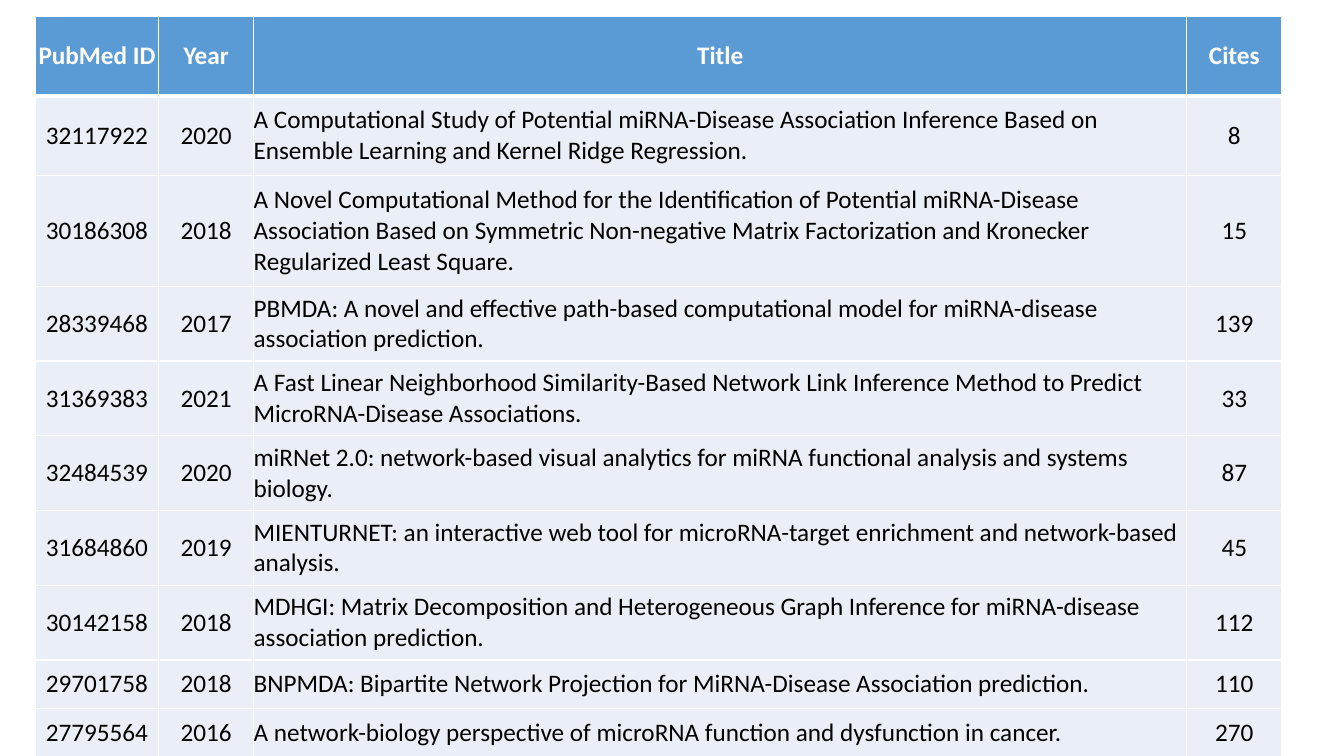
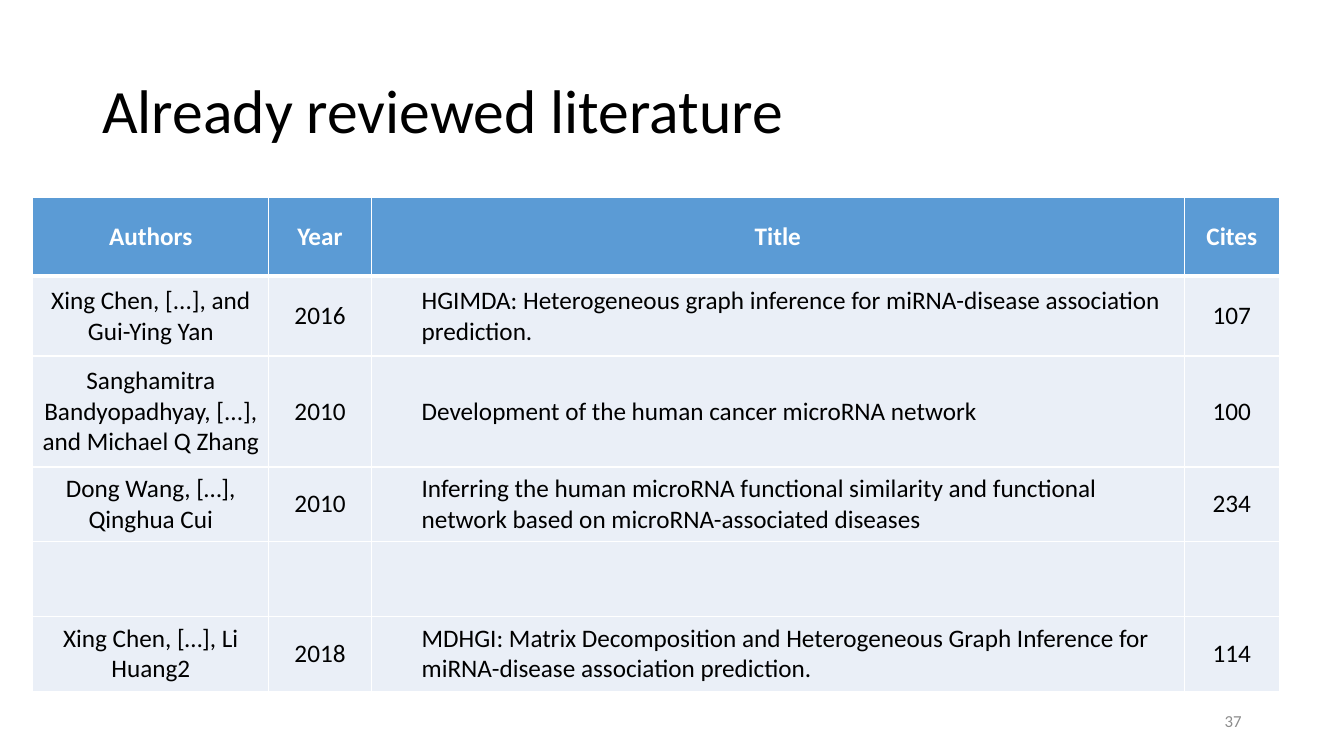
"""Builds two slides of reviewed literature tables."""
from dataclasses import dataclass

from lxml import etree
from pptx import Presentation
from pptx import util as u
from pptx.dml.color import RGBColor
from pptx.enum import text
from pptx.oxml import ns

GRID_COLUMNS, GRID_ROWS = 160, 90
UNIT = u.Inches(1 / 12)


@dataclass(frozen=True)
class Theme:
    """Colours, type sizes and line widths shared by the slides."""
    font: str = "Calibri"
    ink: str = "000000"
    white: str = "FFFFFF"
    header: str = "5B9BD5"
    body: str = "EAEFF7"
    muted: str = "8C8C8C"
    title_size: int = 44
    table_size: int = 18
    number_size: int = 12
    thin: int = 1
    thick: int = 3


class Deck:
    """Holds the theme and the current slide, and draws its elements."""

    def __init__(self, theme):
        """Start an empty presentation of the grid's size."""
        self.theme = theme
        self.presentation = Presentation()
        self.presentation.slide_width = self.length(GRID_COLUMNS)
        self.presentation.slide_height = self.length(GRID_ROWS)
        self.slide = None

    def length(self, units):
        """Turn grid units into a slide length."""
        return u.Emu(round(units * UNIT))

    def add_slide(self):
        """Add a blank slide and make it current."""
        self.slide = self.presentation.slides.add_slide(self.presentation.slide_layouts[6])

    def set_text(self, frame, words, size, color, bold=False, **layout):
        """Put one styled paragraph into a text frame."""
        paragraph = frame.paragraphs[0]
        paragraph.text = words
        for name, value in layout.items():
            setattr(paragraph, name, value)
        values = {"name": self.theme.font, "size": u.Pt(size), "bold": bold}
        for name, value in values.items():
            setattr(paragraph.runs[0].font, name, value)
        paragraph.runs[0].font.color.rgb = RGBColor.from_string(color)
        return paragraph

    def text_box(self, box, words, size, color, **layout):
        """Add a wrapped text box, centred vertically."""
        shape = self.slide.shapes.add_textbox(*map(self.length, box))
        frame = shape.text_frame
        frame.word_wrap = True
        frame.vertical_anchor = text.MSO_ANCHOR.MIDDLE
        self.set_text(frame, words, size, color, **layout)

    def title(self, words):
        """Add the slide title."""
        self.text_box((11, 4.8, 138, 17.4), words, self.theme.title_size,
                      self.theme.ink, line_spacing=0.9)

    def page_number(self, number):
        """Add the page number at the lower right."""
        self.text_box((113, 83.4, 36, 4.8), str(number), self.theme.number_size,
                      self.theme.muted, alignment=text.PP_ALIGN.RIGHT)

    def borders(self, cell, row):
        """Rule a cell in white, with a thick line under the header."""
        thin, thick = self.theme.thin, self.theme.thick
        widths = {"lnL": thin, "lnR": thin,
                  "lnT": thick if row == 1 else thin,
                  "lnB": thick if row == 0 else thin}
        properties = cell._tc.get_or_add_tcPr()
        for tag, width in widths.items():
            line = etree.SubElement(properties, ns.qn(f"a:{tag}"), w=str(u.Pt(width)))
            fill = etree.SubElement(line, ns.qn("a:solidFill"))
            etree.SubElement(fill, ns.qn("a:srgbClr"), val=self.theme.white)

    def cell(self, cell, words, row, is_title, indent):
        """Fill and rule one table cell and set its text."""
        header = row == 0
        self.borders(cell, row)
        cell.fill.solid()
        cell.fill.fore_color.rgb = RGBColor.from_string(
            self.theme.header if header else self.theme.body)
        values = {"margin_left": 0, "margin_right": 0, "margin_top": 0,
                  "margin_bottom": 0, "vertical_anchor": text.MSO_ANCHOR.MIDDLE}
        for name, value in values.items():
            setattr(cell, name, value)
        if not words:
            return
        left = is_title and not header
        paragraph = self.set_text(
            cell.text_frame, words, self.theme.table_size,
            self.theme.white if header else self.theme.ink, bold=header,
            alignment=text.PP_ALIGN.LEFT if left else text.PP_ALIGN.CENTER)
        if left and indent:
            paragraph.level = 1
            paragraph._p.get_or_add_pPr().set("marL", str(self.length(indent)))

    def table(self, left, top, widths, heights, records, indent=0):
        """Add a literature table, its first record being the header."""
        frame = self.slide.shapes.add_table(
            len(records), len(widths),
            *map(self.length, (left, top, sum(widths), sum(heights))))
        table = frame.table
        table.horz_banding = False
        for column, width in zip(table.columns, widths):
            column.width = self.length(width)
        for row, height in zip(table.rows, heights):
            row.height = self.length(height)
        title_column = records[0].index("Title")
        for row, record in enumerate(records):
            for column, words in enumerate(record):
                self.cell(table.cell(row, column), words, row,
                          column == title_column, indent)


HEADER, FIRST, ONE_LINE, TWO_LINES, THREE_LINES = 9.4, 9.5, 5.8, 8.9, 13.2

MDHGI = ("MDHGI: Matrix Decomposition and Heterogeneous Graph Inference "
         "for miRNA-disease association prediction.")

PUBMED_RECORDS = [
    ("PubMed ID", "Year", "Title", "Cites"),
    ("32117922", "2020", "A Computational Study of Potential miRNA-Disease Association "
     "Inference Based on Ensemble Learning and Kernel Ridge Regression.", "8"),
    ("30186308", "2018", "A Novel Computational Method for the Identification of Potential "
     "miRNA-Disease Association Based on Symmetric Non-negative Matrix Factorization and "
     "Kronecker Regularized Least Square.", "15"),
    ("28339468", "2017", "PBMDA: A novel and effective path-based computational model for "
     "miRNA-disease association prediction.", "139"),
    ("31369383", "2021", "A Fast Linear Neighborhood Similarity-Based Network Link Inference "
     "Method to Predict MicroRNA-Disease Associations.", "33"),
    ("32484539", "2020", "miRNet 2.0: network-based visual analytics for miRNA functional "
     "analysis and systems biology.", "87"),
    ("31684860", "2019", "MIENTURNET: an interactive web tool for microRNA-target enrichment "
     "and network-based analysis.", "45"),
    ("30142158", "2018", MDHGI, "112"),
    ("29701758", "2018", "BNPMDA: Bipartite Network Projection for MiRNA-Disease Association "
     "prediction.", "110"),
    ("27795564", "2016", "A network-biology perspective of microRNA function and dysfunction "
     "in cancer.", "270"),
]

AUTHOR_RECORDS = [
    ("Authors", "Year", "Title", "Cites"),
    ("Xing Chen, [...], and Gui-Ying Yan", "2016", "HGIMDA: Heterogeneous graph inference "
     "for miRNA-disease association prediction.", "107"),
    ("Sanghamitra Bandyopadhyay, [...], and Michael Q Zhang", "2010",
     "Development of the human cancer microRNA network", "100"),
    ("Dong Wang, […], Qinghua Cui", "2010", "Inferring the human microRNA functional "
     "similarity and functional network based on microRNA-associated diseases", "234"),
    ("", "", "", ""),
    ("Xing Chen, […], Li Huang2", "2018", MDHGI, "114"),
]


def main():
    """Build both slides and save them."""
    deck = Deck(Theme())
    top_heights = [HEADER, FIRST, THREE_LINES]

    deck.add_slide()
    deck.table(4.2, 2, [14.7, 11.3, 111.1, 11.3],
               top_heights + [TWO_LINES] * 5 + [ONE_LINE] * 2, PUBMED_RECORDS)

    deck.add_slide()
    deck.title("Already reviewed literature")
    deck.page_number(37)
    deck.table(3.9, 23.5, [28.1, 12.2, 96.8, 11.3],
               top_heights + [TWO_LINES] * 3, AUTHOR_RECORDS, indent=6)

    deck.presentation.save("out.pptx")


if __name__ == "__main__":
    main()
